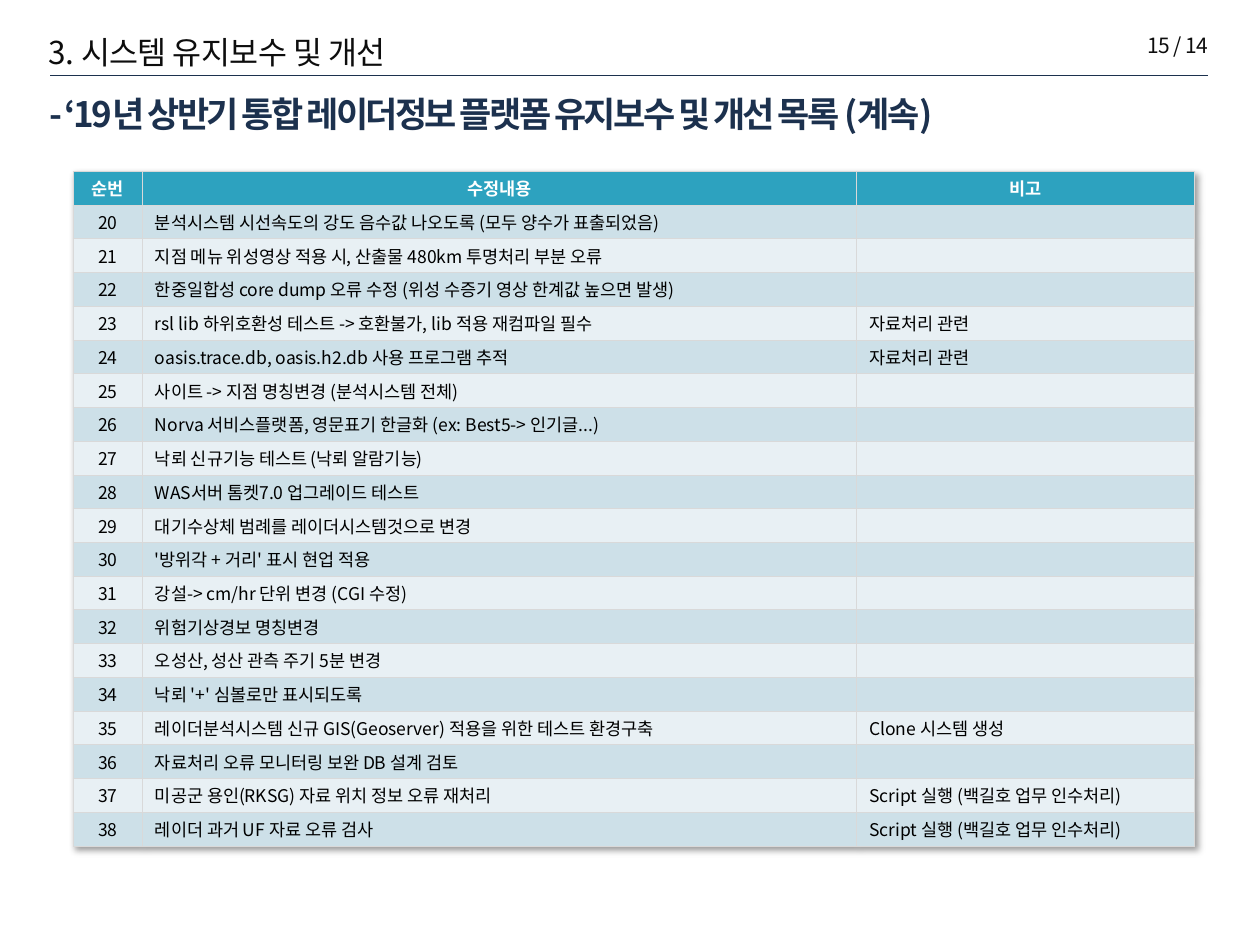
import pptx
import pptx.util
import pptx.dml.color
import pptx.enum.text
import pptx.enum.shapes
import pptx.oxml
import pptx.oxml.ns
import lxml.etree

Inches = pptx.util.Inches
Pt = pptx.util.Pt
Align = pptx.enum.text.PP_ALIGN
Anchor = pptx.enum.text.MSO_ANCHOR
qn = pptx.oxml.ns.qn

FONT = "Noto Sans CJK KR"
NAVY, INK = "1C314E", "0D0D0D"
SECTION = "3. 시스템 유지보수 및 개선"
PAGE = "15 / 14"
TITLE = "- ‘19년 상반기 통합 레이더정보 플랫폼 유지보수 및 개선 목록 (계속)"
HEADS = ("순번", "수정내용", "비고")
FIRST = 20
ITEMS = [
    ("분석시스템 시선속도의 강도 음수값 나오도록 (모두 양수가 표출되었음)", ""),
    ("지점 메뉴 위성영상 적용 시, 산출물 480km 투명처리 부분 오류", ""),
    ("한중일합성 core dump 오류 수정 (위성 수증기 영상 한계값 높으면 발생)", ""),
    ("rsl lib 하위호환성 테스트 -> 호환불가, lib 적용 재컴파일 필수", "자료처리 관련"),
    ("oasis.trace.db, oasis.h2.db 사용 프로그램 추적", "자료처리 관련"),
    ("사이트 -> 지점 명칭변경 (분석시스템 전체)", ""),
    ("Norva 서비스플랫폼, 영문표기 한글화 (ex: Best5-> 인기글...)", ""),
    ("낙뢰 신규기능 테스트 (낙뢰 알람기능)", ""),
    ("WAS서버 톰켓7.0 업그레이드 테스트", ""),
    ("대기수상체 범례를 레이더시스템것으로 변경", ""),
    ("'방위각 + 거리' 표시 현업 적용", ""),
    ("강설-> cm/hr 단위 변경 (CGI 수정)", ""),
    ("위험기상경보 명칭변경", ""),
    ("오성산, 성산 관측 주기 5분 변경", ""),
    ("낙뢰 '+' 심볼로만 표시되도록", ""),
    ("레이더분석시스템 신규 GIS(Geoserver) 적용을 위한 테스트 환경구축", "Clone 시스템 생성"),
    ("자료처리 오류 모니터링 보완 DB 설계 검토", ""),
    ("미공군 용인(RKSG) 자료 위치 정보 오류 재처리", "Script 실행 (백길호 업무 인수처리)"),
    ("레이더 과거 UF 자료 오류 검사", "Script 실행 (백길호 업무 인수처리)"),
]
WIDTHS = (0.55, 5.67, 2.68)
HEIGHT = 5.36
BANDS = ("CDE0E8", "E8F0F4")


def color(code):
    return pptx.dml.color.RGBColor.from_string(code)


def add(parent, tag, **attrs):
    node = lxml.etree.SubElement(parent, qn(tag))
    for key, val in attrs.items():
        node.set(key, str(val))
    return node


def write(frame, text, size, code, bold=False, align=Align.LEFT, gap=0):
    para = frame.paragraphs[0]
    para.text = text
    para.alignment = align
    font = para.font
    font.size, font.bold, font.name = Pt(size), bold, FONT
    font.color.rgb = color(code)
    props = para._p.pPr.find(qn("a:defRPr"))
    add(props, "a:ea", typeface=FONT)
    if gap:
        props.set("spc", str(int(gap * 100)))
    return para


def label(slide, box, text, size, align):
    frame = slide.shapes.add_textbox(*map(Inches, box)).text_frame
    frame.word_wrap = True
    write(frame, text, size, INK, align=align, gap=-0.3)


def paint(cell, text, fill, code, bold, align):
    cell.fill.solid()
    cell.fill.fore_color.rgb = color(fill)
    cell.margin_top = cell.margin_bottom = Inches(0.03)
    cell.vertical_anchor = Anchor.MIDDLE
    write(cell.text_frame, text, 10, code, bold, align)
    props = cell._tc.get_or_add_tcPr()
    for spot, side in enumerate("LRTB"):
        line = add(props, "a:ln" + side, w=Pt(0.5))
        add(add(line, "a:solidFill"), "a:srgbClr", val="D9D9D9")
        props.insert(spot, line)


def add_grid(slide):
    rows = [HEADS] + [(str(FIRST + i), *item) for i, item in enumerate(ITEMS)]
    table = slide.shapes.add_table(
        len(rows), len(WIDTHS), Inches(0.58), Inches(1.36),
        Inches(sum(WIDTHS)), Inches(HEIGHT)).table
    for col, wide in zip(table.columns, WIDTHS):
        col.width = Inches(wide)
    for r, row in enumerate(rows):
        table.rows[r].height = Inches(HEIGHT / len(rows))
        head = r == 0
        fill = "2DA2BF" if head else BANDS[(r - 1) % 2]
        for c, text in enumerate(row):
            align = Align.CENTER if head or c == 0 else Align.LEFT
            paint(table.cell(r, c), text, fill,
                  "FFFFFF" if head else "000000", head, align)
    props = table._tbl.tblPr
    glow = add(props, "a:effectLst")
    props.insert(0, glow)
    shade = add(glow, "a:outerShdw", blurRad=Pt(4), dist=Pt(3),
                dir=2700000, algn="tl", rotWithShape=0)
    add(add(shade, "a:srgbClr", val="000000"), "a:alpha", val=40000)


def main():
    deck = pptx.Presentation()
    deck.slide_width, deck.slide_height = Inches(10), Inches(7.5)
    slide = deck.slides.add_slide(deck.slide_layouts[5])
    label(slide, (0.29, 0.21, 3.58, 0.4), SECTION, 18, Align.LEFT)
    label(slide, (7.96, 0.21, 1.73, 0.3), PAGE, 12, Align.RIGHT)

    rule = slide.shapes.add_connector(
        pptx.enum.shapes.MSO_CONNECTOR.STRAIGHT,
        Inches(0.4), Inches(0.6), Inches(9.59), Inches(0.6))
    rule.line.color.rgb = color(NAVY)
    rule.line.width = Pt(0.25)
    add(rule._element.spPr, "a:effectLst")

    add_grid(slide)

    title = slide.shapes.title
    title.left, title.top = Inches(0.29), Inches(0.61)
    title.width, title.height = Inches(7.65), Inches(0.64)
    frame = title.text_frame
    frame.word_wrap = True
    frame.auto_size = pptx.enum.text.MSO_AUTO_SIZE.NONE
    frame.vertical_anchor = Anchor.MIDDLE
    para = write(frame, TITLE, 20, NAVY, True, gap=-1.5)
    para.line_spacing = 0.83
    deck.save("out.pptx")


if __name__ == "__main__":
    main()
